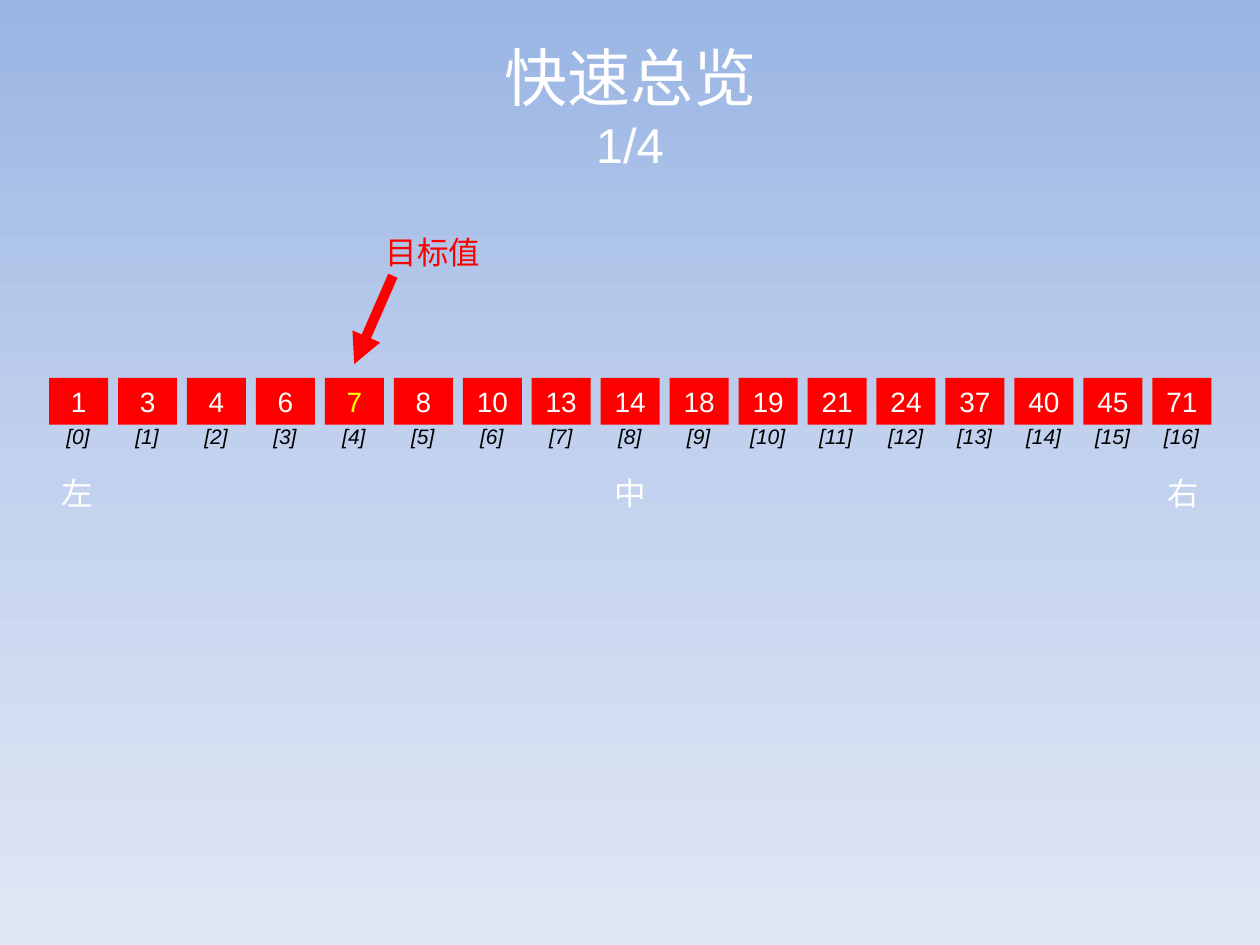
import copy

import lxml.etree
import pptx
import pptx.dml.color
import pptx.enum.shapes
import pptx.enum.text
import pptx.oxml.ns
import pptx.util

Cm = pptx.util.Cm
Pt = pptx.util.Pt
qn = pptx.oxml.ns.qn

COLOURS = {
    "sky_top": "9AB5E4",
    "sky_middle": "C2D1ED",
    "sky_bottom": "E1E8F5",
    "red": "FF0000",
    "yellow": "FFFF00",
    "white": "FFFFFF",
    "black": "000000",
}
LATIN = "Arial"
CHINESE = "Noto Sans CJK SC"

VALUES = [1, 3, 4, 6, 7, 8, 10, 13, 14, 18, 19, 21, 24, 37, 40, 45, 71]
TARGET = 7
ARRAY_LEFT, ARRAY_TOP = 0.99, 7.62
CELL_WIDTH, CELL_HEIGHT, CELL_PITCH = 1.19, 0.94, 1.39
INDEX_TOP, INDEX_HEIGHT = 8.41, 0.76
MARKERS = ["左", "中", "右"]
MARKER_LEFT, MARKER_PITCH, MARKER_TOP = 0.76, 11.15, 9.44


def rgb(colour):
    return pptx.dml.color.RGBColor.from_string(COLOURS[colour])


def apply_format(target, values):
    for attribute, value in values.items():
        setattr(target, attribute, value)


def paint_background(slide):
    sky = slide.background.fill
    sky.gradient()
    sky.gradient_angle = 270
    first_stop = next(slide.element.iter(qn("a:gs")))
    first_stop.addnext(copy.deepcopy(first_stop))
    stops = [(0, "sky_top"), (0.5, "sky_middle"), (1, "sky_bottom")]
    for stop, (position, colour) in zip(sky.gradient_stops, stops):
        stop.position = position
        stop.color.rgb = rgb(colour)


def write_text(holder, text, size, colour, font=LATIN, italic=None,
               align="CENTER", anchor="TOP", wrap=True):
    frame = holder.text_frame
    apply_format(frame, {
        "word_wrap": wrap,
        "auto_size": pptx.enum.text.MSO_AUTO_SIZE.NONE,
        "vertical_anchor": pptx.enum.text.MSO_ANCHOR[anchor],
    })
    paragraph = frame.paragraphs[0]
    paragraph.alignment = pptx.enum.text.PP_ALIGN[align]
    run = paragraph.add_run()
    run.text = text
    apply_format(run.font, {"name": font, "size": Pt(size), "italic": italic})
    run.font.color.rgb = rgb(colour)
    if font == CHINESE:
        east_asian = lxml.etree.SubElement(run.font._element, qn("a:ea"))
        east_asian.set("typeface", font)


def add_title(slide, text):
    title = slide.shapes.title
    apply_format(title, {"left": Cm(0), "top": Cm(0.64),
                         "width": Cm(25.4), "height": Cm(3.33)})
    write_text(title, text, 36, "white", CHINESE)


def add_label(slide, box, text, size, colour, **style):
    label = slide.shapes.add_textbox(*map(Cm, box))
    write_text(label, text, size, colour, **style)


def add_cell(slide, left, value):
    cell = slide.shapes.add_shape(
        pptx.enum.shapes.MSO_SHAPE.RECTANGLE,
        Cm(left), Cm(ARRAY_TOP), Cm(CELL_WIDTH), Cm(CELL_HEIGHT))
    cell.shadow.inherit = False
    cell.fill.solid()
    cell.fill.fore_color.rgb = rgb("red")
    cell.line.fill.background()
    colour = "yellow" if value == TARGET else "white"
    write_text(cell, str(value), 16, colour, anchor="MIDDLE")


def add_index(slide, cell_left, index):
    width = 0.99 if index < 10 else 1.22
    left = cell_left + (CELL_WIDTH - width) / 2
    add_label(slide, (left, INDEX_TOP, width, INDEX_HEIGHT), f"[{index}]",
              12, "black", italic=True, align="LEFT", wrap=False)


def add_arrow(slide, start, end):
    arrow = slide.shapes.add_connector(
        pptx.enum.shapes.MSO_CONNECTOR.STRAIGHT, *map(Cm, start + end))
    arrow.line.width = Pt(5.75)
    arrow.line.color.rgb = rgb("red")
    head = lxml.etree.SubElement(arrow.line._get_or_add_ln(), qn("a:tailEnd"))
    head.set("type", "triangle")
    lxml.etree.SubElement(arrow._element.spPr, qn("a:effectLst"))


def main():
    deck = pptx.Presentation()
    apply_format(deck, {"slide_width": Cm(25.4), "slide_height": Cm(19.05)})
    slide = deck.slides.add_slide(deck.slide_layouts[5])
    paint_background(slide)

    add_title(slide, "快速总览")
    add_label(slide, (0, 2.18, 25.4, 1.45), "1/4", 28, "white")

    for index, value in enumerate(VALUES):
        cell_left = ARRAY_LEFT + index * CELL_PITCH
        add_cell(slide, cell_left, value)
        add_index(slide, cell_left, index)

    for position, marker in enumerate(MARKERS):
        left = MARKER_LEFT + position * MARKER_PITCH
        add_label(slide, (left, MARKER_TOP, 1.6, 1.02), marker, 18, "white",
                  font=CHINESE)

    add_arrow(slide, (7.92, 5.56), (7.14, 7.34))
    add_label(slide, (7.14, 4.57, 3.18, 1.02), "目标值", 18, "red")

    deck.save("out.pptx")


if __name__ == "__main__":
    main()
